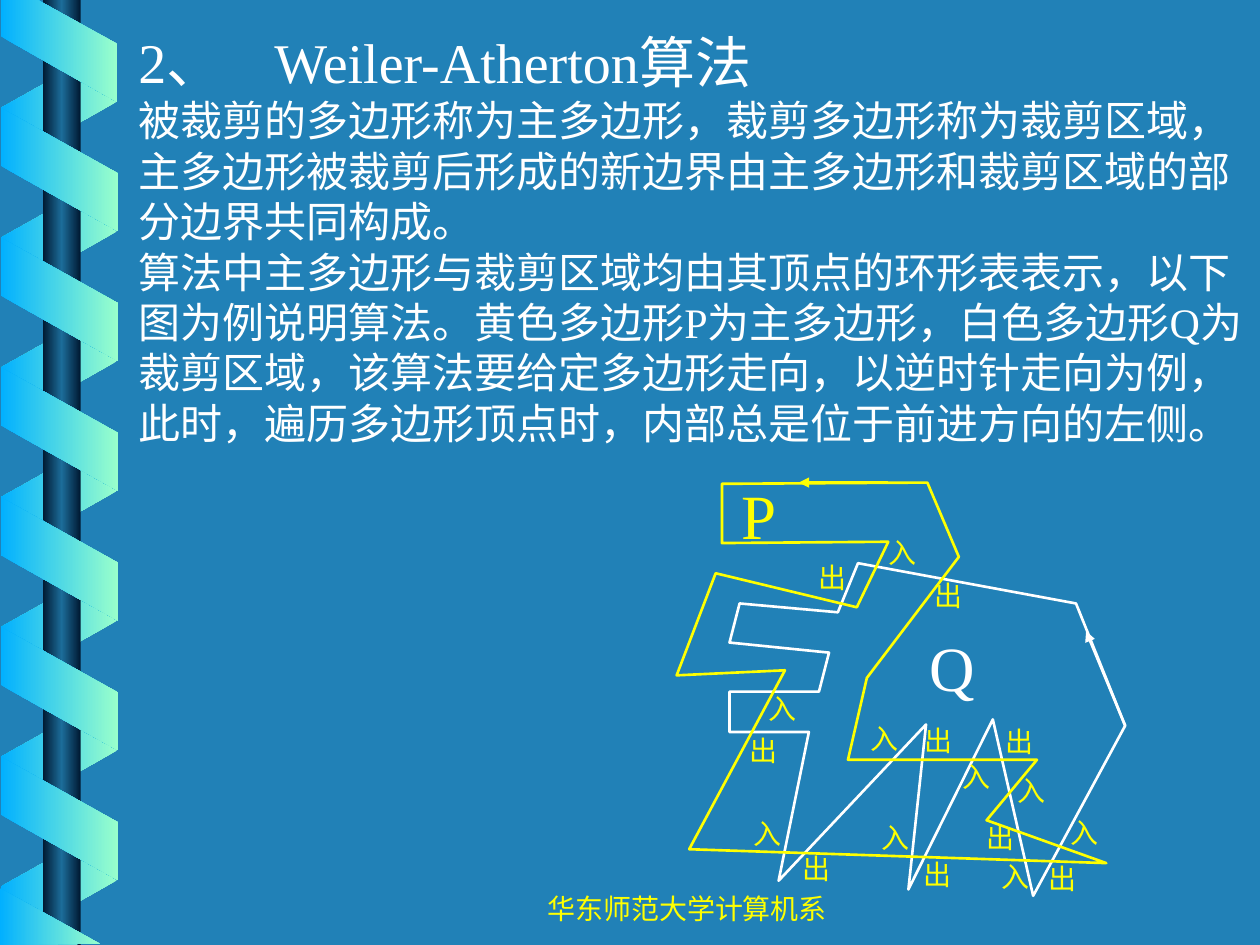
from copy import deepcopy

from lxml import etree
from pptx import Presentation
from pptx.dml.color import RGBColor
from pptx.enum.shapes import MSO_CONNECTOR, MSO_SHAPE
from pptx.enum.text import PP_ALIGN
from pptx.oxml.ns import qn
from pptx.util import Pt

PX = 9144  # 100 px to the inch
SLANT, RECT = MSO_SHAPE.PARALLELOGRAM, MSO_SHAPE.RECTANGLE
LINE = MSO_CONNECTOR.STRAIGHT
LEFT, MID = PP_ALIGN.LEFT, PP_ALIGN.CENTER


class Theme:
    back = RGBColor(0x21, 0x81, 0xB7)
    white = RGBColor(0xFF, 0xFF, 0xFF)
    gold = RGBColor(0xFF, 0xFF, 0x00)
    blue = RGBColor(0x01, 0xB0, 0xFF)
    mint = RGBColor(0x99, 0xFF, 0xCC)
    dark = RGBColor(0x00, 0x19, 0x32)
    steel = RGBColor(0x1C, 0x6D, 0x9A)
    serif, sans = "Times New Roman", "Noto Sans CJK SC"
    head, body, name, note = Pt(32), Pt(24), Pt(36), Pt(16)
    stroke = Pt(1.5)


def blend(shape, *colors):
    """Fill with evenly spaced colours from left to right, without a line."""
    shape.shadow.inherit = False
    shape.line.fill.background()
    shape.fill.gradient()
    shape.fill.gradient_angle = 0
    grad = shape._element.spPr.find(qn("a:gradFill"))
    grad.set("rotWithShape", "0")
    stops = grad.find(qn("a:gsLst"))
    for _ in colors[2:]:
        stops.append(deepcopy(stops[0]))
    for i, (stop, color) in enumerate(zip(shape.fill.gradient_stops, colors)):
        stop.position = i / (len(colors) - 1)
        stop.color.rgb = color


def write(box, lines, color, font=Theme.serif, align=LEFT, wrap=True):
    """Put (text, size, tab) lines in a text box at box = x, y, w, h."""
    frame = shapes.add_textbox(*[v * PX for v in box]).text_frame
    frame.word_wrap = wrap
    for i, (text, size, tab) in enumerate(lines):
        para = frame.add_paragraph() if i else frame.paragraphs[0]
        para.text = text
        para.alignment = align
        if tab:
            tabs = etree.SubElement(para._p.get_or_add_pPr(), qn("a:tabLst"))
            etree.SubElement(tabs, qn("a:tab"), pos=str(tab * PX), algn="l")
        para.font.name = font
        para.font.size = size
        para.font.color.rgb = color


deck = Presentation()
deck.slide_width, deck.slide_height = 1000 * PX, 750 * PX
slide = deck.slides.add_slide(deck.slide_layouts[6])
slide.background.fill.solid()
slide.background.fill.fore_color.rgb = Theme.back
shapes = slide.shapes

# Ribbon behind the rod, the rod, and the ribbon in front of it
for i in range(7):
    band = shapes.add_shape(SLANT, -2 * PX, (37 + 103 * i) * PX, 98 * PX, 92 * PX)
    band.adjustments[0] = 0.56
    band.rotation = 90
    band._element.spPr.xfrm.set("flipH", "1")
    blend(band, Theme.mint, Theme.blue)

rod = shapes.add_shape(RECT, 34 * PX, 0, 30 * PX, 750 * PX)
blend(rod, Theme.dark, Theme.steel, Theme.dark)

for i in range(6):
    band = shapes.add_shape(SLANT, -2 * PX, (88 + 103 * i) * PX, 98 * PX, 93 * PX)
    band.adjustments[0] = 0.56
    band.rotation = 270
    blend(band, Theme.blue, Theme.mint)

ends = [
    [(1, 0), (1, 29), (93, 81), (93, 35), (30, 0)],
    [(79, 749), (0, 705), (0, 750)],
]
for pts in ends:
    pen = shapes.build_freeform(*pts[0], scale=PX)
    pen.add_line_segments(pts[1:], close=True)
    blend(pen.convert_to_shape(), Theme.blue, Theme.mint)

# Text
write((333, 703, 425, 31), [("华东师范大学计算机系", Theme.note, 0)],
      Theme.gold, Theme.sans, MID)
write((100, 17, 900, 344), [
    ("2、\tWeiler-Atherton算法", Theme.head, 108),
    ("被裁剪的多边形称为主多边形，裁剪多边形称为裁剪区域，"
     "主多边形被裁剪后形成的新边界由主多边形和裁剪区域的部分边界共同构成。",
     Theme.body, 0),
    ("算法中主多边形与裁剪区域均由其顶点的环形表表示，以下图为例说明算法。"
     "黄色多边形P为主多边形，白色多边形Q为裁剪区域，该算法要给定多边形走向，"
     "以逆时针走向为例，此时，遍历多边形顶点时，内部总是位于前进方向的左侧。",
     Theme.body, 0),
], Theme.white)

# Polygons: name, name's place, colour, corners, arrow
clip = [(587, 479), (665, 486), (681, 447), (854, 479), (893, 576), (820, 711),
        (788, 571), (721, 706), (735, 575), (618, 699), (642, 581), (579, 581),
        (579, 549), (650, 549), (658, 518), (579, 510)]
main = [(573, 384), (736, 383), (761, 442), (688, 538), (673, 603), (823, 603),
        (783, 651), (878, 685), (547, 674), (623, 532), (537, 536), (568, 455),
        (680, 482), (705, 430), (573, 431)]
polys = [
    ("Q", (728, 494), Theme.white, clip, (893, 576, 862, 501)),
    ("P", (579, 373), Theme.gold, main, (705, 383, 634, 383)),
]
for name, spot, color, pts, way in polys:
    pen = shapes.build_freeform(*pts[0], scale=PX)
    pen.add_line_segments(pts[1:], close=True)
    poly = pen.convert_to_shape()
    poly.shadow.inherit = False
    poly.fill.background()
    arrow = shapes.add_connector(LINE, *[v * PX for v in way])
    for item in (poly, arrow):
        item.line.color.rgb = color
        item.line.width = Theme.stroke
    etree.SubElement(arrow.line._get_or_add_ln(), qn("a:tailEnd"), type="triangle")
    etree.SubElement(arrow._element.spPr, qn("a:effectLst"))
    write((*spot, 55, 70), [(name, Theme.name, 0)], color)

# Crossings where the main polygon enters or leaves the clip region
marks = {
    "入": [(695, 420), (600, 544), (588, 643), (690, 646), (785, 677),
          (840, 642), (798, 609), (754, 598), (681, 568)],
    "出": [(640, 440), (585, 577), (627, 671), (723, 676), (822, 679),
          (773, 646), (788, 570), (724, 569), (732, 454)],
}
for text, spots in marks.items():
    for spot in spots:
        write((*spot, 55, 37), [(text, Theme.note, 0)], Theme.gold)

deck.save("out.pptx")
